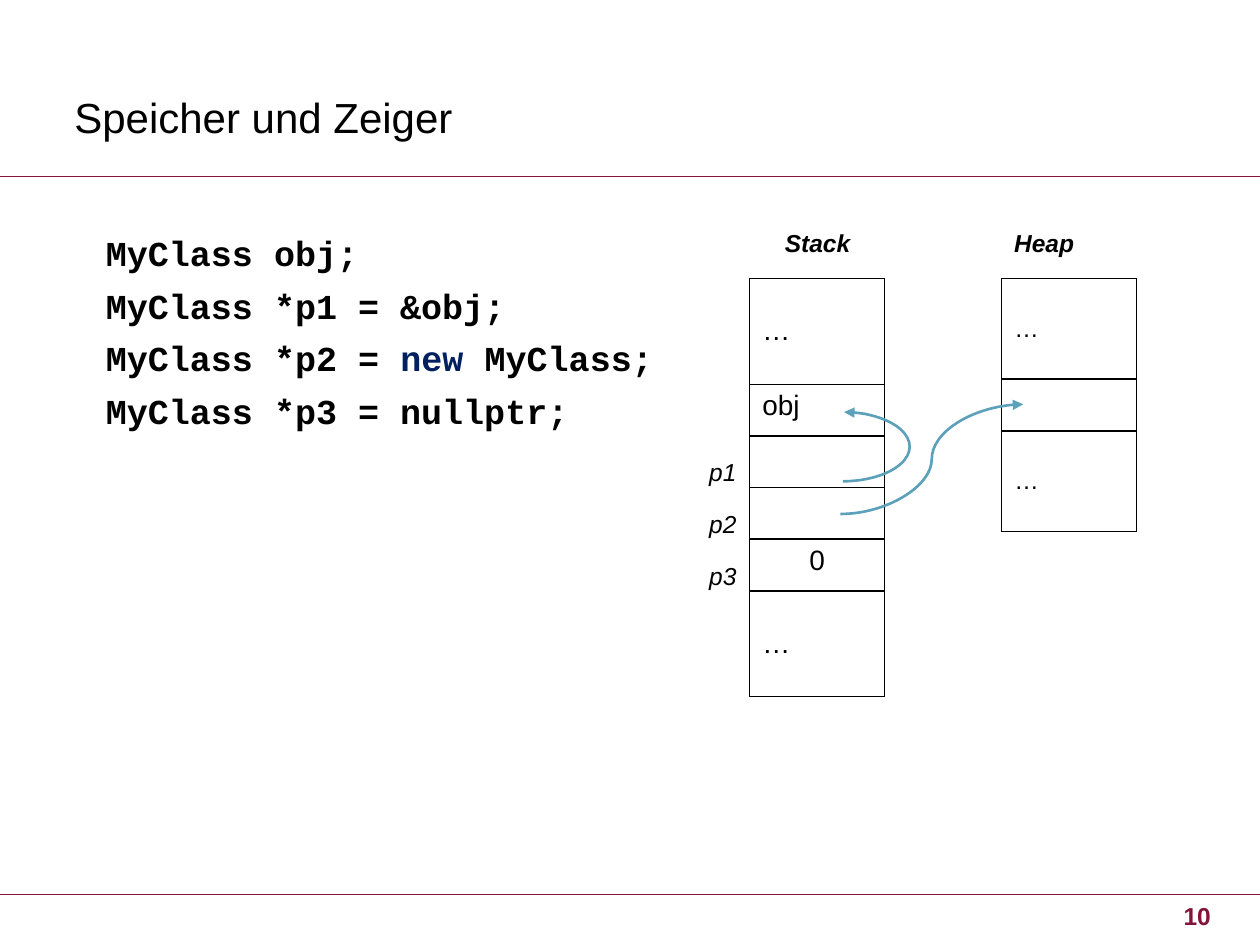
import pptx
import pptx.util
import pptx.dml.color
import pptx.enum.shapes
import pptx.enum.text
import pptx.oxml
import pptx.oxml.ns

PP = pptx.enum.text.PP_ALIGN
MID = pptx.enum.text.MSO_ANCHOR.MIDDLE
KIND = pptx.enum.shapes.MSO_CONNECTOR
WINE, BLUE, NAVY, BLACK = "841439", "5CA0BA", "002060", "000000"
COLS, ROWS = 100, 75
CELL = 4.1      # height of one memory cell
TOP = 22.1      # top of both memory columns
HEAD = 17.6     # top of the code and of the captions


def grid(n):
    """Length of n units on a grid of 100 columns by 75 rows."""
    return pptx.util.Inches(n / 10)


def paint(item, code):
    item.rgb = pptx.dml.color.RGBColor.from_string(code)


def assign(item, vals):
    for name, val in vals.items():
        setattr(item, name, val)


def write(para, text, size, face="Arial", color=BLACK, **look):
    run = para.add_run()
    run.text = text
    assign(run.font, {"size": pptx.util.Pt(size), "name": face, **look})
    paint(run.font.color, color)


def text_box(slide, box, wrap=True, pad=(0.9, 0.9), **frame):
    """Empty text frame; pad gives the side and the top inset."""
    body = slide.shapes.add_textbox(*map(grid, box)).text_frame
    side, top = map(grid, pad)
    assign(body, {"word_wrap": wrap, "margin_left": side,
                  "margin_right": side, "margin_top": top,
                  "margin_bottom": top, **frame})
    return body


def label(slide, text, x, y, wide, **look):
    body = text_box(slide, (x, y, wide, 3.4), False, (1, 0.5))
    write(body.paragraphs[0], text, 14, italic=True, **look)


def add_xml(node, text):
    node.append(pptx.oxml.parse_xml(
        text.replace(" ", " " + pptx.oxml.ns.nsdecls("a") + " ", 1)))


def stroke(item, color, width, end=None):
    paint(item.line.color, color)
    item.line.width = pptx.util.Pt(width)
    if end:
        add_xml(item.line._get_or_add_ln(), f'<a:{end} type="triangle"/>')


def link(slide, kind, start, stop, color, width, end=None):
    line = slide.shapes.add_connector(kind, *map(grid, start + stop))
    stroke(line, color, width, end)
    add_xml(line._element.spPr, "<a:effectLst />")


def loop(slide, box, turns):
    """Arc with an arrowhead at its start."""
    arc = slide.shapes.add_shape(
        pptx.enum.shapes.MSO_SHAPE.ARC, *map(grid, box))
    arc.shadow.inherit = False
    arc.fill.background()
    for i, turn in enumerate(turns):
        arc.adjustments[i] = turn
    stroke(arc, BLUE, 1.5, "headEnd")


def border(cell):
    for side in "LRTB":
        add_xml(cell._tc.get_or_add_tcPr(),
                f'<a:ln{side} w="12700"><a:solidFill><a:srgbClr val="{BLACK}"/>'
                f'</a:solidFill></a:ln{side}>')


def memory(slide, x, words, tall, size):
    """One column of cells; those marked with dots are taller."""
    highs = [tall if word == "…" else CELL for word in words]
    table = slide.shapes.add_table(
        len(words), 1, *map(grid, (x, TOP, 10.7, sum(highs)))).table
    assign(table, {"first_row": False, "horz_banding": False})
    for i, (word, high) in enumerate(zip(words, highs)):
        table.rows[i].height = grid(high)
        cell = table.cell(i, 0)
        border(cell)
        cell.fill.background()
        para = cell.text_frame.paragraphs[0]
        para.font.size = pptx.util.Pt(size)
        if word:
            write(para, word, size)
        if word == "…":
            cell.vertical_anchor = MID
        if word == "0":
            para.alignment = PP.CENTER


def code(slide, lines):
    body = text_box(slide, (5, HEAD, 50.9, 43.5), pad=(3.4, 0.8))
    for i, parts in enumerate(lines):
        para = body.add_paragraph() if i else body.paragraphs[0]
        para.space_before = pptx.util.Pt(6)
        for part in parts:
            write(para, part, 20, "Courier New",
                  NAVY if part == "new " else BLACK, bold=True)


def main():
    deck = pptx.Presentation()
    assign(deck, {"slide_width": grid(COLS), "slide_height": grid(ROWS)})
    slide = deck.slides.add_slide(deck.slide_layouts[6])

    for y in (14, 71):
        link(slide, KIND.STRAIGHT, (0, y), (COLS, y), WINE, 0.75)
    title = text_box(slide, (5, 3, 90, 12.5), vertical_anchor=MID)
    write(title.paragraphs[0], "Speicher und Zeiger", 24)
    page = text_box(slide, (91.4, 71.9, 4.7, 1.5), pad=(0, 0),
                    vertical_anchor=MID)
    page.paragraphs[0].alignment = PP.RIGHT
    write(page.paragraphs[0], "10", 14, color=WINE, bold=True)

    code(slide, [["MyClass obj;"],
                 ["MyClass *p1 = &obj;"],
                 ["MyClass *p2 = ", "new ", "MyClass;"],
                 ["MyClass *p3 = nullptr;"]])

    memory(slide, 59.5, ["…", "obj", "", "", "0", "…"], 8.4, 16)
    memory(slide, 79.5, ["…", "", "…"], 8, 14)
    label(slide, "Stack", 61.3, HEAD, 7.2, bold=True)
    label(slide, "Heap", 79.5, HEAD, 6.8, bold=True)
    for i, name in enumerate(("p1", "p2", "p3")):
        label(slide, name, 55.3, 35.8 + i * CELL, 4.2)

    link(slide, KIND.CURVE, (66.7, 40.8), (81.2, 32.1), BLUE, 1.5, "tailEnd")
    loop(slide, (61.5, 32.7, 10.7, 5.5), (163.83, 53.33))
    deck.save("out.pptx")


if __name__ == "__main__":
    main()
